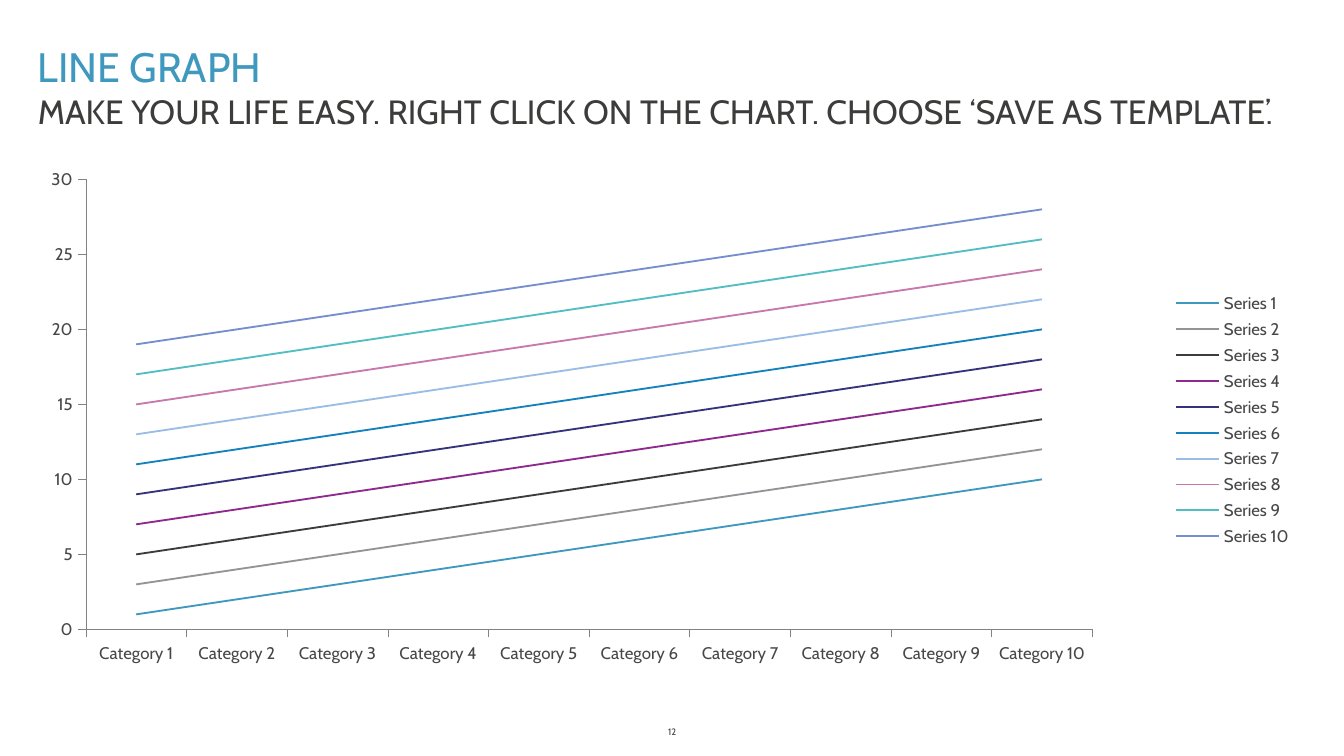
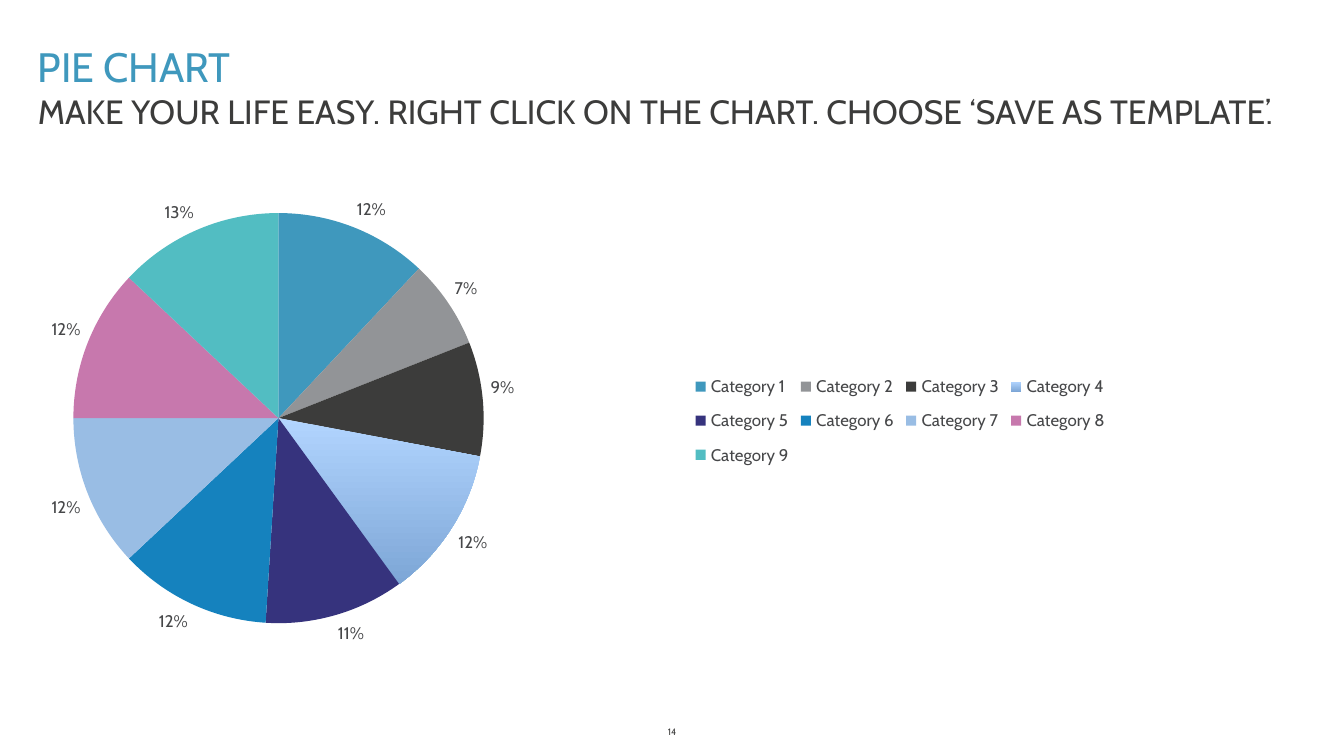
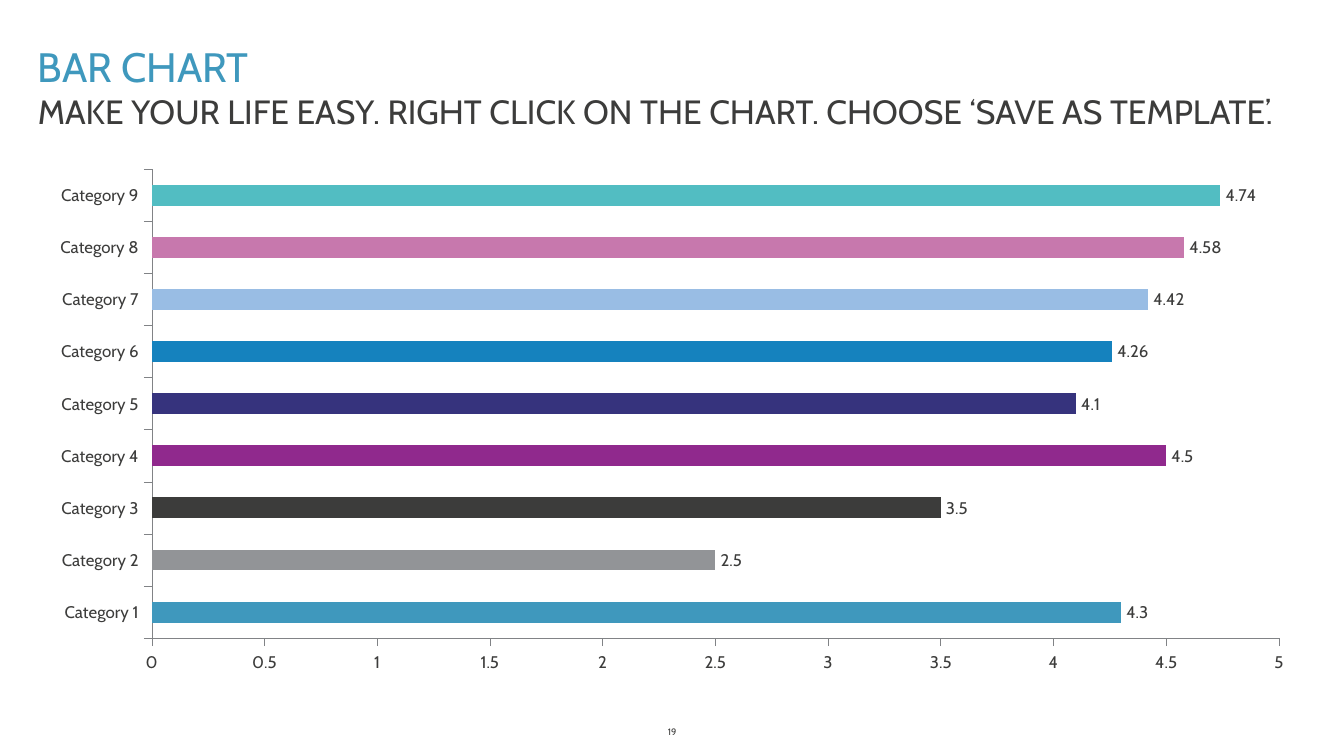
from lxml.etree import SubElement
from pptx import Presentation
from pptx.chart.data import CategoryChartData
from pptx.dml.color import RGBColor
from pptx.enum.chart import (XL_CHART_TYPE, XL_LABEL_POSITION,
                             XL_LEGEND_POSITION, XL_TICK_MARK)
from pptx.enum.text import MSO_ANCHOR, MSO_AUTO_SIZE, PP_ALIGN
from pptx.oxml.ns import qn
from pptx.util import Cm, Pt

# Shared style
FONT = "Cabin"
BLUE = RGBColor(0x3F, 0x98, 0xBD)
GREY = RGBColor(0x92, 0x94, 0x97)
CHARCOAL = RGBColor(0x3C, 0x3C, 0x3B)
PURPLE = RGBColor(0x90, 0x29, 0x8D)
INDIGO = RGBColor(0x36, 0x33, 0x7D)
OCEAN = RGBColor(0x15, 0x82, 0xBE)
SKY = RGBColor(0x99, 0xBD, 0xE4)
PINK = RGBColor(0xC7, 0x78, 0xAD)
TEAL = RGBColor(0x52, 0xBD, 0xC2)
PERIWINKLE = RGBColor(0x75, 0x8E, 0xCD)
CHART_TEXT = RGBColor(0x46, 0x47, 0x49)
AXIS = RGBColor(0x81, 0x83, 0x86)
GRADIENT_TOP = RGBColor(0xB2, 0xD5, 0xFF)
GRADIENT_BOTTOM = RGBColor(0x7D, 0xA6, 0xD6)
PALETTE = [BLUE, GREY, CHARCOAL, PURPLE, INDIGO, OCEAN, SKY, PINK, TEAL, PERIWINKLE]
SUBTITLE = "MAKE YOUR LIFE EASY. RIGHT CLICK ON THE CHART. CHOOSE ‘SAVE AS TEMPLATE’."


def categories(count):
    return [f"Category {number}" for number in range(1, count + 1)]


class ChartDeck:
    """Holds the style and the current slide."""

    def __init__(self):
        self.deck = Presentation()
        self.deck.slide_width, self.deck.slide_height = Cm(25.4), Cm(14.29)
        self.slide = None

    def add_slide(self, title, page_number):
        self.slide = self.deck.slides.add_slide(self.deck.slide_layouts[1])
        heading, body = self.slide.placeholders
        self.place(heading, 0.46, 0.66, 24.31, 1.19)
        self.set_text(heading, title, 22, BLUE, anchor=MSO_ANCHOR.BOTTOM)
        self.place(body, 0.46, 1.6, 24.31, 1.02)
        self.set_text(body, SUBTITLE, 18, CHARCOAL)
        self.remove_bullet(body.text_frame.paragraphs[0])
        number_box = self.slide.shapes.add_textbox(
            Cm(11.51), Cm(13.59), Cm(2.39), Cm(0.48))
        self.set_text(number_box, str(page_number), 5, CHARCOAL,
                      PP_ALIGN.CENTER, MSO_ANCHOR.MIDDLE)

    def place(self, shape, left, top, width, height):
        shape.left, shape.top = Cm(left), Cm(top)
        shape.width, shape.height = Cm(width), Cm(height)

    def set_text(self, box, text, size, color, align=PP_ALIGN.LEFT, anchor=MSO_ANCHOR.TOP):
        frame = box.text_frame
        frame.text = text
        frame.word_wrap = True
        frame.auto_size = MSO_AUTO_SIZE.SHAPE_TO_FIT_TEXT
        frame.vertical_anchor = anchor
        para = frame.paragraphs[0]
        para.alignment = align
        span = para.runs[0]
        self.style_font(span.font, size, color)

    def style_font(self, font, size, color):
        font.name, font.size = FONT, Pt(size)
        font.color.rgb = color

    def remove_bullet(self, para):
        properties = para._p.get_or_add_pPr()
        properties.set("marL", "0")
        properties.set("indent", "0")
        SubElement(properties, qn("a:buNone"))

    def add_chart(self, kind, names, series, width, height, color=CHART_TEXT):
        data = CategoryChartData()
        data.categories = names
        for number, values in enumerate(series, 1):
            data.add_series(f"Series {number}", values)
        chart = self.slide.shapes.add_chart(
            kind, Cm(0.66), Cm(3), Cm(width), Cm(height), data).chart
        chart.has_title = chart.has_legend = False
        self.style_font(chart.font, 9, color)
        return chart

    def format_axes(self, chart):
        for axis in (chart.category_axis, chart.value_axis):
            axis.has_major_gridlines = False
            axis.major_tick_mark = XL_TICK_MARK.OUTSIDE
            axis.minor_tick_mark = XL_TICK_MARK.NONE
            axis.format.line.color.rgb = AXIS
            axis.format.line.width = Pt(0.25)

    def add_legend(self, chart, x, y, w, h):
        chart.has_legend = True
        chart.legend.position = XL_LEGEND_POSITION.RIGHT
        chart.legend.include_in_layout = False
        legend = chart.element.find(".//" + qn("c:legend"))
        self.set_layout(legend, 1, x=x, y=y, w=w, h=h)

    def set_plot(self, chart, x, y, w, h):
        plot_area = chart.element.find(".//" + qn("c:plotArea"))
        self.set_layout(plot_area, 0, layoutTarget="inner", x=x, y=y, w=w, h=h)

    def set_layout(self, parent, index, layoutTarget=None, **fractions):
        for old in parent.findall(qn("c:layout")):
            parent.remove(old)
        layout = SubElement(parent, qn("c:layout"))
        parent.insert(index, layout)
        manual = SubElement(layout, qn("c:manualLayout"))
        if layoutTarget:
            SubElement(manual, qn("c:layoutTarget")).set("val", layoutTarget)
        for mode in ("xMode", "yMode"):
            SubElement(manual, qn("c:" + mode)).set("val", "edge")
        for name, value in fractions.items():
            SubElement(manual, qn("c:" + name)).set("val", str(value))

    def color_points(self, plot):
        series = plot.series[0]
        for index in range(len(series.values)):
            fill = series.points[index].format.fill
            fill.solid()
            fill.fore_color.rgb = PALETTE[index]

    def add_labels(self, plot, number_format, percent=False):
        plot.has_data_labels = True
        labels = plot.data_labels
        labels.show_percentage, labels.show_value = percent, not percent
        labels.number_format = number_format
        labels.number_format_is_linked = False
        labels.position = XL_LABEL_POSITION.OUTSIDE_END


def add_line_slide(show):
    show.add_slide("LINE GRAPH", 12)
    series = [range(start, start + 10) for start in range(1, 20, 2)]
    chart = show.add_chart(XL_CHART_TYPE.LINE, categories(10), series, 24.08, 9.78)
    show.format_axes(chart)
    for line, color in zip(chart.plots[0].series, PALETTE):
        line.smooth = False
        line.format.line.color.rgb = color
        line.format.line.width = Pt(1)
    show.set_plot(chart, 0.04, 0.04, 0.79, 0.87)
    show.add_legend(chart, 0.89, 0.25, 0.1, 0.51)


def add_pie_slide(show):
    show.add_slide("PIE CHART", 14)
    shares = [12, 7, 9, 12, 11, 12, 12, 12, 13]
    chart = show.add_chart(XL_CHART_TYPE.PIE, categories(9), [shares], 24.23, 9.91)
    plot = chart.plots[0]
    plot.vary_by_categories = True
    show.color_points(plot)
    # Category 4 fades downwards
    fill = plot.series[0].points[3].format.fill
    fill.gradient()
    fill.gradient_angle = 270
    for stop, color in zip(fill.gradient_stops, (GRADIENT_TOP, GRADIENT_BOTTOM)):
        stop.color.rgb = color
    show.add_labels(plot, "0%", percent=True)
    show.set_plot(chart, 0.03, 0.1, 0.32, 0.79)
    show.add_legend(chart, 0.51, 0.39, 0.33, 0.22)


def add_bar_slide(show):
    show.add_slide("BAR CHART", 19)
    values = [4.3, 2.5, 3.5, 4.5, 4.1, 4.26, 4.42, 4.58, 4.74]
    chart = show.add_chart(XL_CHART_TYPE.BAR_CLUSTERED, categories(9), [values],
                           24.08, 9.91, CHARCOAL)
    show.format_axes(chart)
    plot = chart.plots[0]
    plot.vary_by_categories = False
    plot.gap_width = 150
    show.color_points(plot)
    show.add_labels(plot, "General")


def main():
    show = ChartDeck()
    add_line_slide(show)
    add_pie_slide(show)
    add_bar_slide(show)
    show.deck.save("out.pptx")


if __name__ == "__main__":
    main()
